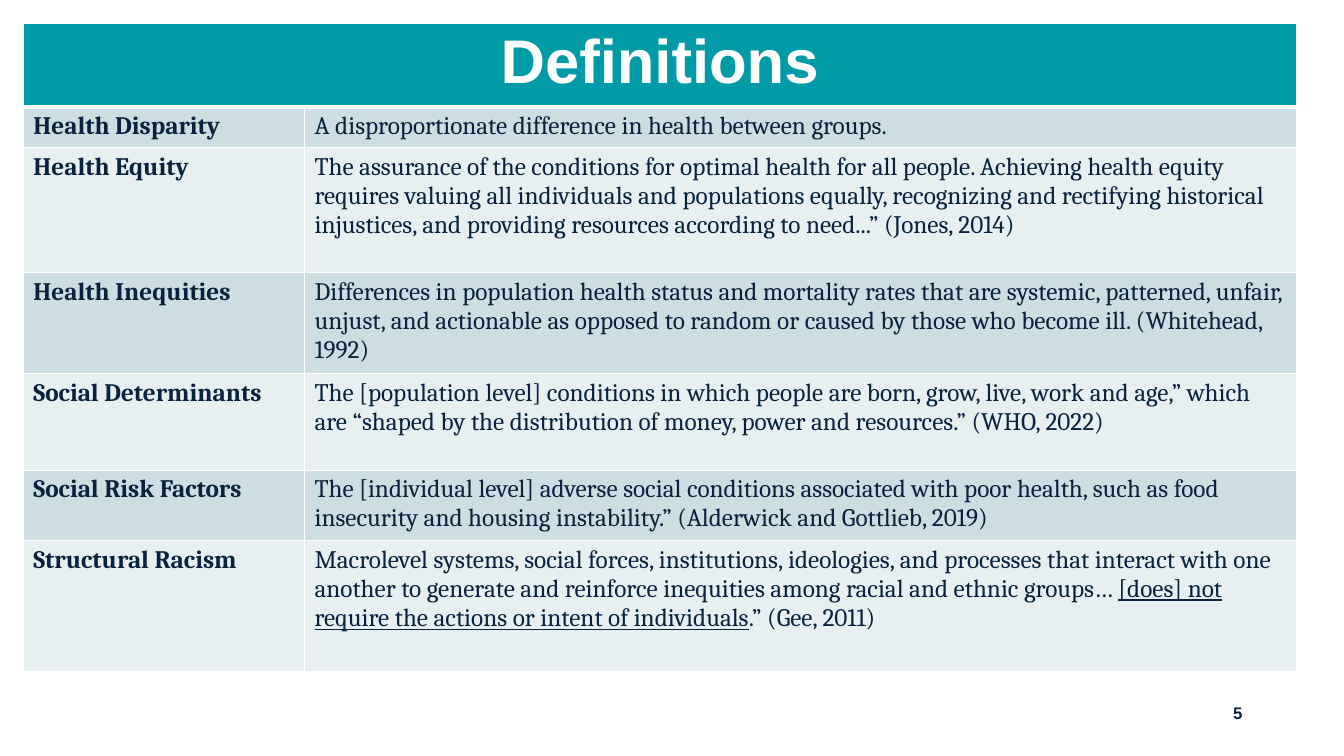
from lxml import etree
from pptx import Presentation
from pptx.dml.color import RGBColor
from pptx.enum.text import MSO_ANCHOR, PP_ALIGN
from pptx.oxml.ns import qn
from pptx.util import Inches, Pt

COLUMNS = [2.79, 9.84]
ROWS = [0.82, 0.4, 1.24, 1.0, 0.96, 0.7, 1.3]
BANDS = ["CCDEE1", "E7EFF1"]

# Each definition is a list of (text, underlined) runs
DEFINITIONS = [
    ("Health Disparity", [
        ("A disproportionate difference in health between groups.", False)]),
    ("Health Equity", [
        ("The assurance of the conditions for optimal health for all people. "
         "Achieving health equity requires valuing all individuals and "
         "populations equally, recognizing and rectifying historical "
         "injustices, and providing resources according to need...” "
         "(Jones, 2014)", False)]),
    ("Health Inequities", [
        ("Differences in population health status and mortality rates that "
         "are systemic, patterned, unfair, unjust, and actionable as opposed "
         "to random or caused by those who become ill. (Whitehead, 1992)",
         False)]),
    ("Social Determinants", [
        ("The [population level] conditions in which people are born, grow, "
         "live, work and age,” which are “shaped by the distribution of "
         "money, power and resources.” (WHO, 2022)", False)]),
    ("Social Risk Factors", [
        ("The [individual level] adverse social conditions associated with "
         "poor health, such as food insecurity and housing instability.” "
         "(Alderwick and Gottlieb, 2019)", False)]),
    ("Structural Racism", [
        ("Macrolevel systems, social forces, institutions, ideologies, and "
         "processes that interact with one another to generate and reinforce "
         "inequities among racial and ethnic groups… ", False),
        ("[does] not require the actions or intent of individuals", True),
        (".” (Gee, 2011)", False)]),
]


def rgb(value):
    return RGBColor.from_string(value)


class DefinitionSlide:
    heading_font = "Arial"
    body_font = "Cambria"
    teal, navy, ink, white = "009BA6", "0C2340", "09233F", "FFFFFF"

    def __init__(self, prs):
        self.s = prs.slides.add_slide(prs.slide_layouts[6])

    def add_run(self, p, text, font, size, color, bold=False, underline=False):
        r = p.add_run()
        r.text = text
        r.font.name = font
        r.font.size = Pt(size)
        r.font.color.rgb = rgb(color)
        r.font.bold = bold
        r.font.underline = underline

    def style_cell(self, cell, fill, top=1, bottom=1):
        """Give a cell white borders, with widths in points, and a fill."""
        tcPr = cell._tc.get_or_add_tcPr()
        for side, width in zip("LRTB", (1, 1, top, bottom)):
            ln = etree.SubElement(tcPr, qn(f"a:ln{side}"), w=str(Pt(width)))
            solid = etree.SubElement(ln, qn("a:solidFill"))
            etree.SubElement(solid, qn("a:srgbClr"), val=self.white)
        cell.fill.solid()
        cell.fill.fore_color.rgb = rgb(fill)

    def add_table(self, left, top, title, definitions):
        frame = self.s.shapes.add_table(
            len(ROWS), len(COLUMNS), Inches(left), Inches(top),
            Inches(sum(COLUMNS)), Inches(sum(ROWS)))
        table = frame.table
        for column, width in zip(table.columns, COLUMNS):
            column.width = Inches(width)
        for row, height in zip(table.rows, ROWS):
            row.height = Inches(height)

        header = table.cell(0, 0)
        header.merge(table.cell(0, 1))
        for cell in table.rows[0].cells:
            self.style_cell(cell, self.teal, bottom=3)
        p = header.text_frame.paragraphs[0]
        p.alignment = PP_ALIGN.CENTER
        self.add_run(p, title, self.heading_font, 44, self.white, bold=True)

        for i, (term, meaning) in enumerate(definitions, start=1):
            for j, runs in enumerate([[(term, False)], meaning]):
                cell = table.cell(i, j)
                self.style_cell(cell, BANDS[(i - 1) % 2], top=3 if i == 1 else 1)
                p = cell.text_frame.paragraphs[0]
                for text, underline in runs:
                    self.add_run(p, text, self.body_font, 18, self.ink,
                                 bold=j == 0, underline=underline)

    def add_page_number(self, number, left, top, width, height):
        box = self.s.shapes.add_textbox(
            Inches(left), Inches(top), Inches(width), Inches(height))
        tf = box.text_frame
        tf.word_wrap = True
        tf.vertical_anchor = MSO_ANCHOR.MIDDLE
        p = tf.paragraphs[0]
        p.alignment = PP_ALIGN.RIGHT
        self.add_run(p, str(number), self.heading_font, 12, self.navy, bold=True)


def main():
    prs = Presentation()
    prs.slide_width, prs.slide_height = Inches(13.33), Inches(7.5)
    slide = DefinitionSlide(prs)
    slide.add_page_number(5, 9.42, 6.87, 3, 0.4)
    slide.add_table(0.23, 0.23, "Definitions", DEFINITIONS)
    prs.save("out.pptx")


if __name__ == "__main__":
    main()
